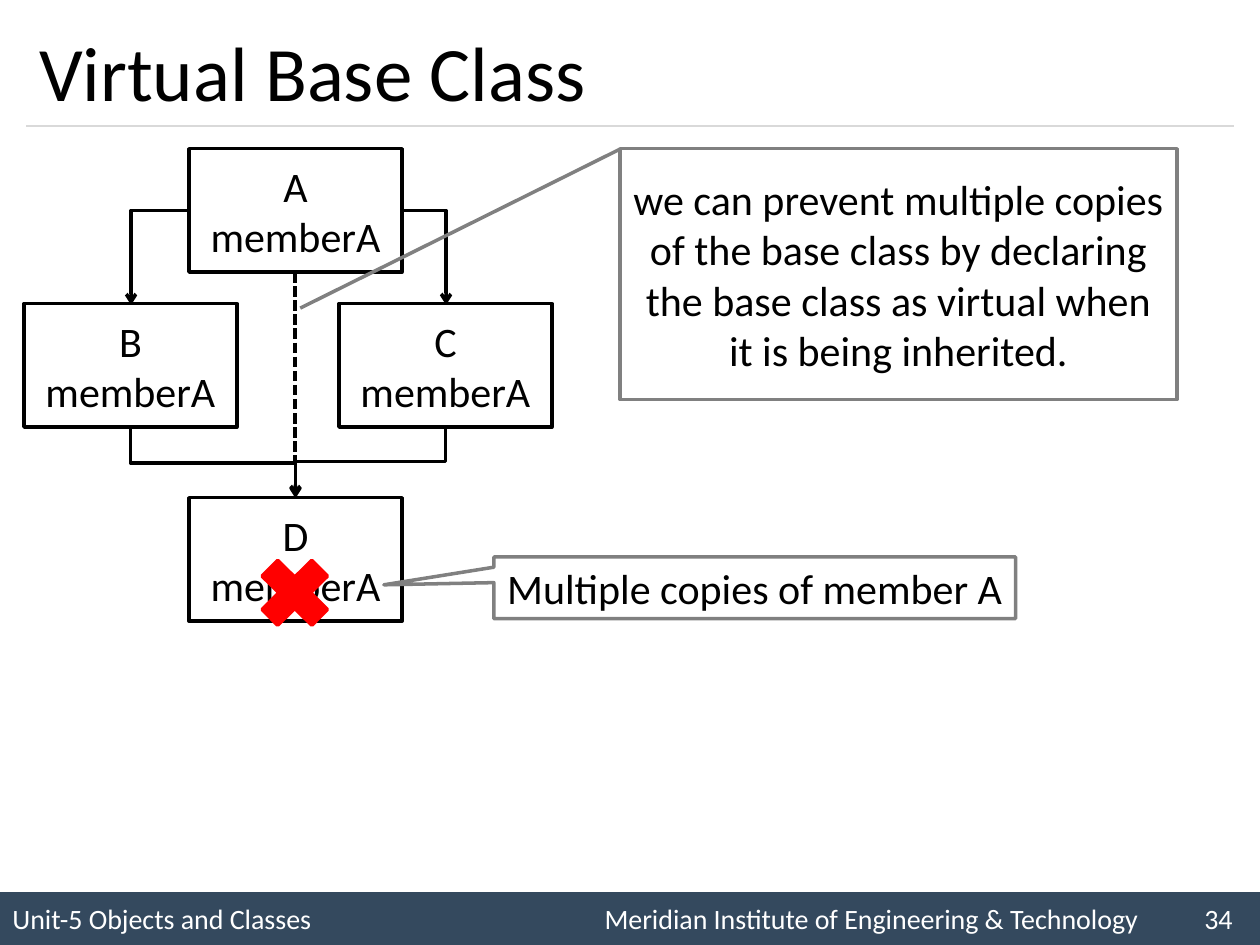
from dataclasses import dataclass

import lxml.etree
import pptx
import pptx.dml.color
import pptx.enum.dml
import pptx.enum.shapes
import pptx.enum.text
import pptx.oxml.ns
import pptx.util
from pptx.util import Inches

SHAPE = pptx.enum.shapes.MSO_SHAPE
CONNECTOR = pptx.enum.shapes.MSO_CONNECTOR
ALIGN = pptx.enum.text.PP_ALIGN
MIDDLE = pptx.enum.text.MSO_ANCHOR.MIDDLE
FONT = "Calibri"
COLORS = {
    "ink": "000000",
    "paper": "FFFFFF",
    "footer": "34495E",
    "rule": "D9D9D9",
    "callout": "808080",
    "cross": "FF0000",
}
BOX_WIDTH, BOX_HEIGHT = 1.69, 0.98
TOP, BOTTOM, LEFT, RIGHT = 0, 2, 1, 3


@dataclass
class ClassBox:
    name: str
    left: float
    top: float


@dataclass
class Inheritance:
    parent: str
    parent_site: int
    child: str
    frame: tuple[float, float, float, float]
    geometry: str
    rotation: int = 0
    flip: str = ""


@dataclass
class Callout:
    text: str
    kind: int
    frame: tuple[float, float, float, float]
    adjustments: tuple[float, ...]


CLASSES = [
    ClassBox("A", 1.5, 1.18),
    ClassBox("B", 0.19, 2.41),
    ClassBox("C", 2.69, 2.41),
    ClassBox("D", 1.5, 3.95),
]
INHERITANCES = [
    Inheritance("A", LEFT, "B", (1.04, 1.67, 0.46, 0.75), "bentConnector2", 180, "flipV"),
    Inheritance("A", RIGHT, "C", (3.19, 1.67, 0.35, 0.75), "bentConnector2"),
    Inheritance("B", BOTTOM, "D", (1.41, 3.02, 0.56, 1.31), "bentConnector3", 270, "flipH"),
    Inheritance("C", BOTTOM, "D", (2.66, 3.07, 0.56, 1.19), "bentConnector3", 90),
]
COPIES = Callout(
    "Multiple copies of member A",
    SHAPE.RECTANGULAR_CALLOUT, (3.92, 4.42, 4.14, 0.49), (-0.711, -0.048),
)
PREVENTION = Callout(
    "we can prevent multiple copies of the base class by declaring "
    "the base class as virtual when it is being inherited.",
    SHAPE.LINE_CALLOUT_1, (4.92, 1.18, 4.42, 1.99), (0.002, 0, 0.636, -0.574),
)


def rgb(color: str):
    return pptx.dml.color.RGBColor.from_string(COLORS[color])


def set_line(line, color: str, width: float = 2) -> None:
    line.color.rgb = rgb(color)
    line.width = pptx.util.Pt(width)


def write(shape, lines: list[str], size: int, color: str = "ink", align=ALIGN.CENTER) -> None:
    frame = shape.text_frame
    frame.word_wrap = True
    frame.vertical_anchor = MIDDLE
    frame.text = "\n".join(lines)
    for paragraph in frame.paragraphs:
        paragraph.alignment = align
        paragraph.font.name = FONT
        paragraph.font.size = pptx.util.Pt(size)
        paragraph.font.color.rgb = rgb(color)


def add_block(slide, kind, frame, fill: str | None, outline: str | None):
    block = slide.shapes.add_shape(kind, *map(Inches, frame))
    block.shadow.inherit = False
    if fill:
        block.fill.solid()
        block.fill.fore_color.rgb = rgb(fill)
    else:
        block.fill.background()
    if outline:
        set_line(block.line, outline)
    else:
        block.line.fill.background()
    return block


def add_line(slide, kind, ends, color: str, width: float = 2):
    line = slide.shapes.add_connector(kind, *map(Inches, ends))
    set_line(line.line, color, width)
    lxml.etree.SubElement(line.element.spPr, pptx.oxml.ns.qn("a:effectLst"))
    return line


def add_inheritance(slide, link: Inheritance, boxes: dict) -> None:
    left, top, width, height = link.frame
    arrow = add_line(slide, CONNECTOR.ELBOW, (left, top, left + width, top + height), "ink")
    arrow.begin_connect(boxes[link.parent], link.parent_site)
    arrow.end_connect(boxes[link.child], TOP)
    arrow.left, arrow.top, arrow.width, arrow.height = map(Inches, link.frame)
    properties = arrow.element.spPr
    transform = properties.find(pptx.oxml.ns.qn("a:xfrm"))
    for flip in ("flipH", "flipV"):
        transform.set(flip, "1" if flip == link.flip else "0")
    transform.set("rot", str(link.rotation * 60000))
    properties.find(pptx.oxml.ns.qn("a:prstGeom")).set("prst", link.geometry)
    outline = properties.find(pptx.oxml.ns.qn("a:ln"))
    lxml.etree.SubElement(outline, pptx.oxml.ns.qn("a:tailEnd"), type="arrow")


def add_callout(slide, callout: Callout) -> None:
    block = add_block(slide, callout.kind, callout.frame, None, "callout")
    for index, value in enumerate(callout.adjustments):
        block.adjustments[index] = value
    write(block, [callout.text], 24)


def add_footer(slide) -> None:
    footer = add_block(slide, SHAPE.RECTANGLE, (0, 7.08, 10, 0.42), "footer", None)
    entries = ["Unit-5 Objects and Classes", "Meridian Institute of Engineering & Technology", "34"]
    write(footer, ["\t".join(entries)], 16, "paper", ALIGN.LEFT)
    properties = footer.text_frame.paragraphs[0]._p.get_or_add_pPr()
    stops = lxml.etree.Element(pptx.oxml.ns.qn("a:tabLst"))
    for position in (4.7, 9.46):
        lxml.etree.SubElement(
            stops, pptx.oxml.ns.qn("a:tab"), pos=str(Inches(position)), algn="l"
        )
    properties.find(pptx.oxml.ns.qn("a:defRPr")).addprevious(stops)


def build() -> None:
    deck = pptx.Presentation()
    deck.slide_width, deck.slide_height = Inches(10), Inches(7.5)
    slide = deck.slides.add_slide(deck.slide_layouts[5])

    add_footer(slide)
    add_line(slide, CONNECTOR.STRAIGHT, (0.21, 1, 9.79, 1), "rule", 0.75)
    title = slide.shapes.title
    title.left, title.top, title.width, title.height = map(Inches, (0.21, 0.12, 9.58, 0.88))
    write(title, ["Virtual Base Class"], 44, align=ALIGN.LEFT)

    boxes = {}
    for item in CLASSES:
        frame = (item.left, item.top, BOX_WIDTH, BOX_HEIGHT)
        boxes[item.name] = add_block(slide, SHAPE.RECTANGLE, frame, "paper", "ink")
        write(boxes[item.name], [item.name, "memberA"], 24)
    for link in INHERITANCES:
        add_inheritance(slide, link, boxes)

    add_block(slide, SHAPE.MATH_MULTIPLY, (1.96, 4.33, 0.76, 0.75), "cross", "cross")
    add_callout(slide, COPIES)
    virtual_path = add_line(slide, CONNECTOR.STRAIGHT, (2.34, 2.16, 2.34, 3.67), "ink")
    virtual_path.line.dash_style = pptx.enum.dml.MSO_LINE.SQUARE_DOT
    add_callout(slide, PREVENTION)

    deck.save("out.pptx")


build()
